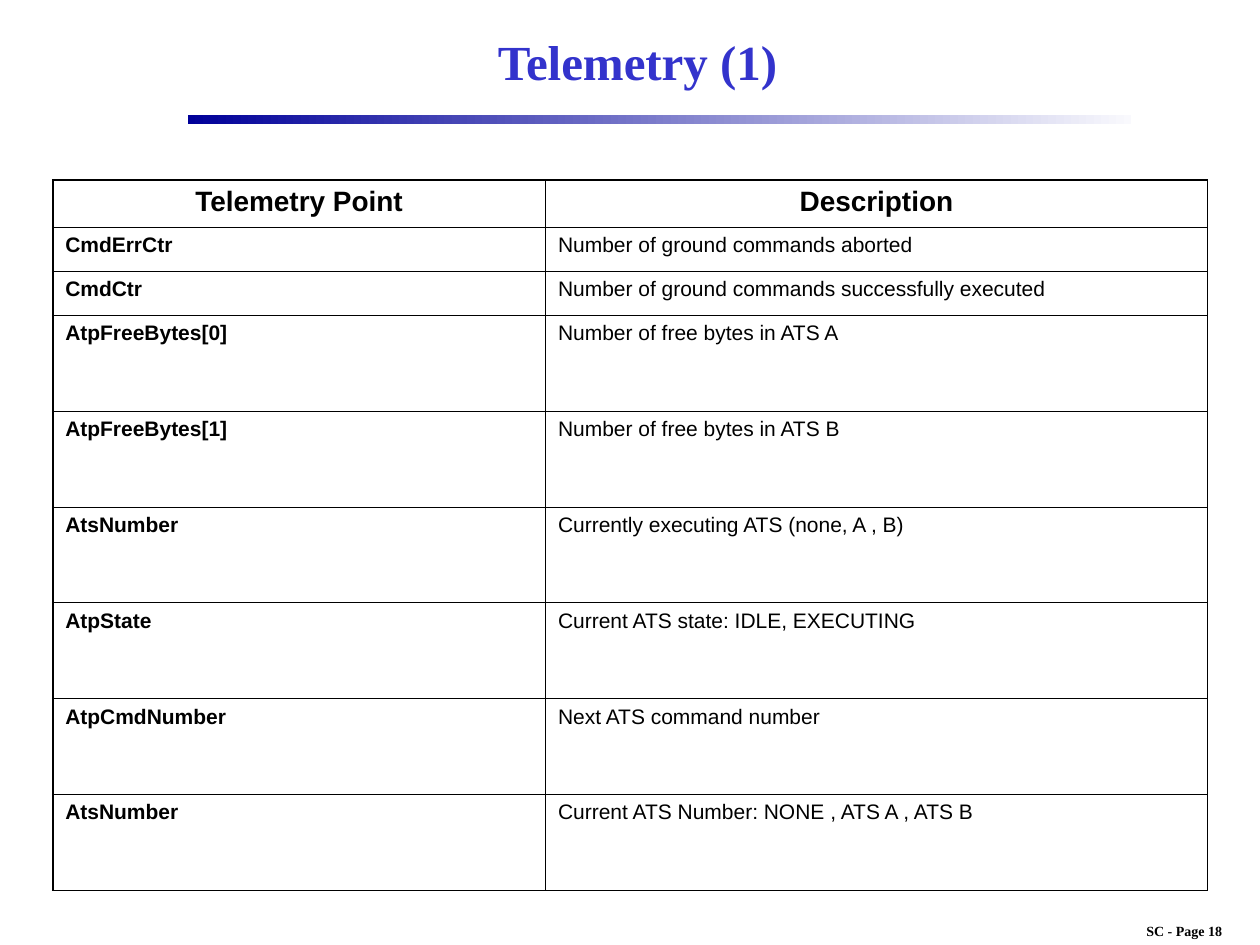
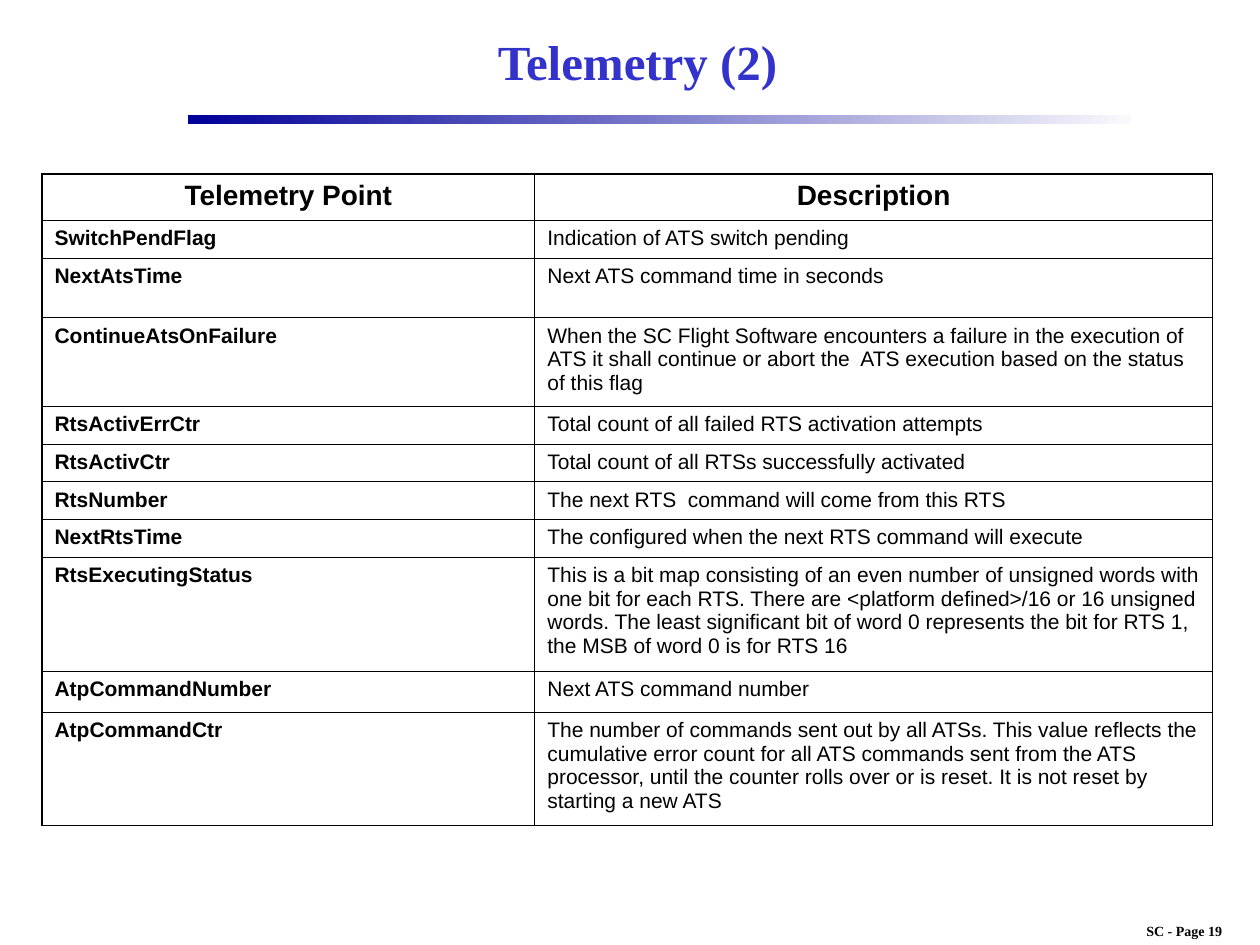
"""Build two telemetry slides that share a title style, a gradient band and a page footer."""
from dataclasses import dataclass

from lxml.etree import SubElement
from pptx import Presentation
from pptx.dml.color import RGBColor
from pptx.enum.shapes import MSO_SHAPE
from pptx.enum.text import MSO_ANCHOR, PP_ALIGN
from pptx.oxml.ns import qn
from pptx.slide import Slide
from pptx.table import _Cell
from pptx.text.text import TextFrame
from pptx.util import Pt


@dataclass(frozen=True)
class TextStyle:
    size: float
    font: str
    color: str
    bold: bool = True


@dataclass(frozen=True)
class Theme:
    band_start: str = "000099"
    band_end: str = "F9F9FD"
    border: str = "000000"
    outer_line: float = 1.08
    inner_line: float = 0.45
    title: TextStyle = TextStyle(28, "Times New Roman", "3333CC")
    footer: TextStyle = TextStyle(8, "Times New Roman", "000000")
    header: TextStyle = TextStyle(16, "Arial", "000000")
    point: TextStyle = TextStyle(12, "Arial", "000000")
    description: TextStyle = TextStyle(12, "Arial", "000000", bold=False)


@dataclass(frozen=True)
class Box:
    left: float
    top: float
    width: float
    height: float

    def lengths(self) -> tuple[Pt, Pt, Pt, Pt]:
        """Give left, top, width and height as lengths."""
        return Pt(self.left), Pt(self.top), Pt(self.width), Pt(self.height)


@dataclass(frozen=True)
class TelemetryPoint:
    name: str
    description: str
    height: float


@dataclass(frozen=True)
class TelemetryPage:
    title: str
    number: int
    left: float
    top: float
    description_width: float
    bottom_line: float
    points: tuple[TelemetryPoint, ...]


THEME = Theme()
TITLE_BOX = Box(110.2, 5.8, 508.3, 54)
BAND_BOX = Box(107.3, 66, 539.3, 5)
FOOTER_BOX = Box(633.6, 523.4, 86.4, 16.6)
HEADINGS = ("Telemetry Point", "Description")
HEADER_HEIGHT = 26.7
POINT_WIDTH = 281.6
SHORT, MEDIUM, TALL = 25.2, 21.6, 54.8
FOUR_LINES = 64.8

PAGES = (
    TelemetryPage("Telemetry (1)", 18, 30.1, 103, 378.3, THEME.inner_line, (
        TelemetryPoint("CmdErrCtr", "Number of ground commands aborted", SHORT),
        TelemetryPoint("CmdCtr", "Number of ground commands successfully executed", SHORT),
        TelemetryPoint("AtpFreeBytes[0]", "Number of free bytes in ATS A", TALL),
        TelemetryPoint("AtpFreeBytes[1]", "Number of free bytes in ATS B", TALL),
        TelemetryPoint("AtsNumber", "Currently executing ATS (none, A , B)", TALL),
        TelemetryPoint("AtpState", "Current ATS state: IDLE, EXECUTING", TALL),
        TelemetryPoint("AtpCmdNumber", "Next ATS command number", TALL),
        TelemetryPoint("AtsNumber", "Current ATS Number: NONE , ATS A , ATS B", TALL),
    )),
    TelemetryPage("Telemetry (2)", 19, 24, 99.3, 387.3, THEME.outer_line, (
        TelemetryPoint("SwitchPendFlag", "Indication of ATS switch pending", MEDIUM),
        TelemetryPoint("NextAtsTime", "Next ATS command time in seconds", 34),
        TelemetryPoint(
            "ContinueAtsOnFailure",
            "When the SC Flight Software encounters a failure in the execution of ATS it shall "
            "continue or abort the  ATS execution based on the status of this flag", 50.4),
        TelemetryPoint("RtsActivErrCtr", "Total count of all failed RTS activation attempts", MEDIUM),
        TelemetryPoint("RtsActivCtr", "Total count of all RTSs successfully activated", MEDIUM),
        TelemetryPoint("RtsNumber", "The next RTS  command will come from this RTS", MEDIUM),
        TelemetryPoint("NextRtsTime", "The configured when the next RTS command will execute", MEDIUM),
        TelemetryPoint(
            "RtsExecutingStatus",
            "This is a bit map consisting of an even number of unsigned words with one bit for "
            "each RTS. There are <platform defined>/16 or 16 unsigned words. The least significant "
            "bit of word 0 represents the bit for RTS 1, the MSB of word 0 is for RTS 16", FOUR_LINES),
        TelemetryPoint("AtpCommandNumber", "Next ATS command number", 23.6),
        TelemetryPoint(
            "AtpCommandCtr",
            "The number of commands sent out by all ATSs. This value reflects the cumulative error "
            "count for all ATS commands sent from the ATS processor, until the counter rolls over "
            "or is reset. It is not reset by starting a new ATS", FOUR_LINES),
    )),
)


def write(frame: TextFrame, text: str, style: TextStyle,
          align: PP_ALIGN = PP_ALIGN.LEFT, space_before: float = 0) -> None:
    """Put one styled run into the first paragraph of a frame."""
    paragraph = frame.paragraphs[0]
    paragraph.alignment = align
    paragraph.space_before = Pt(space_before)
    run = paragraph.add_run()
    run.text = text
    run.font.size = Pt(style.size)
    run.font.name = style.font
    run.font.bold = style.bold
    run.font.color.rgb = RGBColor.from_string(style.color)


def add_centred_text(slide: Slide, box: Box, text: str, style: TextStyle,
                     wrap: bool, top_inset: float = 3.6) -> None:
    """Add a centred text box."""
    frame = slide.shapes.add_textbox(*box.lengths()).text_frame
    frame.word_wrap = wrap
    frame.margin_top = Pt(top_inset)
    frame.vertical_anchor = MSO_ANCHOR.MIDDLE
    write(frame, text, style, PP_ALIGN.CENTER)


def add_band(slide: Slide) -> None:
    """Add the gradient band below the title."""
    band = slide.shapes.add_shape(MSO_SHAPE.RECTANGLE, *BAND_BOX.lengths())
    band.shadow.inherit = False
    band.line.fill.background()
    band.fill.gradient()
    band.fill.gradient_angle = 0
    for stop, color in zip(band.fill.gradient_stops, (THEME.band_start, THEME.band_end)):
        stop.color.rgb = RGBColor.from_string(color)


def set_borders(cell: _Cell, left: float, right: float, top: float, bottom: float) -> None:
    """Draw the four borders of a cell with the given widths."""
    properties = cell._tc.get_or_add_tcPr()
    for side, width in zip("LRTB", (left, right, top, bottom)):
        line = SubElement(properties, qn(f"a:ln{side}"), w=str(int(Pt(width))))
        SubElement(SubElement(line, qn("a:solidFill")), qn("a:srgbClr"), val=THEME.border)


def add_telemetry_table(slide: Slide, page: TelemetryPage) -> None:
    """Add the table of telemetry points with its heading row."""
    widths = (POINT_WIDTH, page.description_width)
    heights = (HEADER_HEIGHT, *(point.height for point in page.points))
    entries = (HEADINGS, *((point.name, point.description) for point in page.points))
    box = Box(page.left, page.top, sum(widths), sum(heights))
    table = slide.shapes.add_table(len(entries), len(widths), *box.lengths()).table
    table.first_row = table.horz_banding = False
    for column, width in zip(table.columns, widths):
        column.width = Pt(width)
    outer, inner = THEME.outer_line, THEME.inner_line
    for row_index, (entry, height) in enumerate(zip(entries, heights)):
        table.rows[row_index].height = Pt(height)
        heading = row_index == 0
        last = row_index == len(entries) - 1
        for column_index, (text, body) in enumerate(zip(entry, (THEME.point, THEME.description))):
            cell = table.cell(row_index, column_index)
            set_borders(
                cell,
                left=outer if column_index == 0 else inner,
                right=inner if column_index == 0 else outer,
                top=outer if heading else inner,
                bottom=page.bottom_line if last else inner,
            )
            cell.fill.background()
            if heading:
                write(cell.text_frame, text, THEME.header, PP_ALIGN.CENTER, space_before=7)
            else:
                write(cell.text_frame, text, body)


def build() -> None:
    """Build the slides and save them."""
    deck = Presentation()
    deck.slide_width, deck.slide_height = Pt(720), Pt(540)
    for page in PAGES:
        slide = deck.slides.add_slide(deck.slide_layouts[6])
        add_centred_text(slide, FOOTER_BOX, f"SC - Page {page.number}", THEME.footer, wrap=False)
        add_band(slide)
        add_telemetry_table(slide, page)
        add_centred_text(slide, TITLE_BOX, page.title, THEME.title, wrap=True, top_inset=8)
    deck.save("out.pptx")


build()
